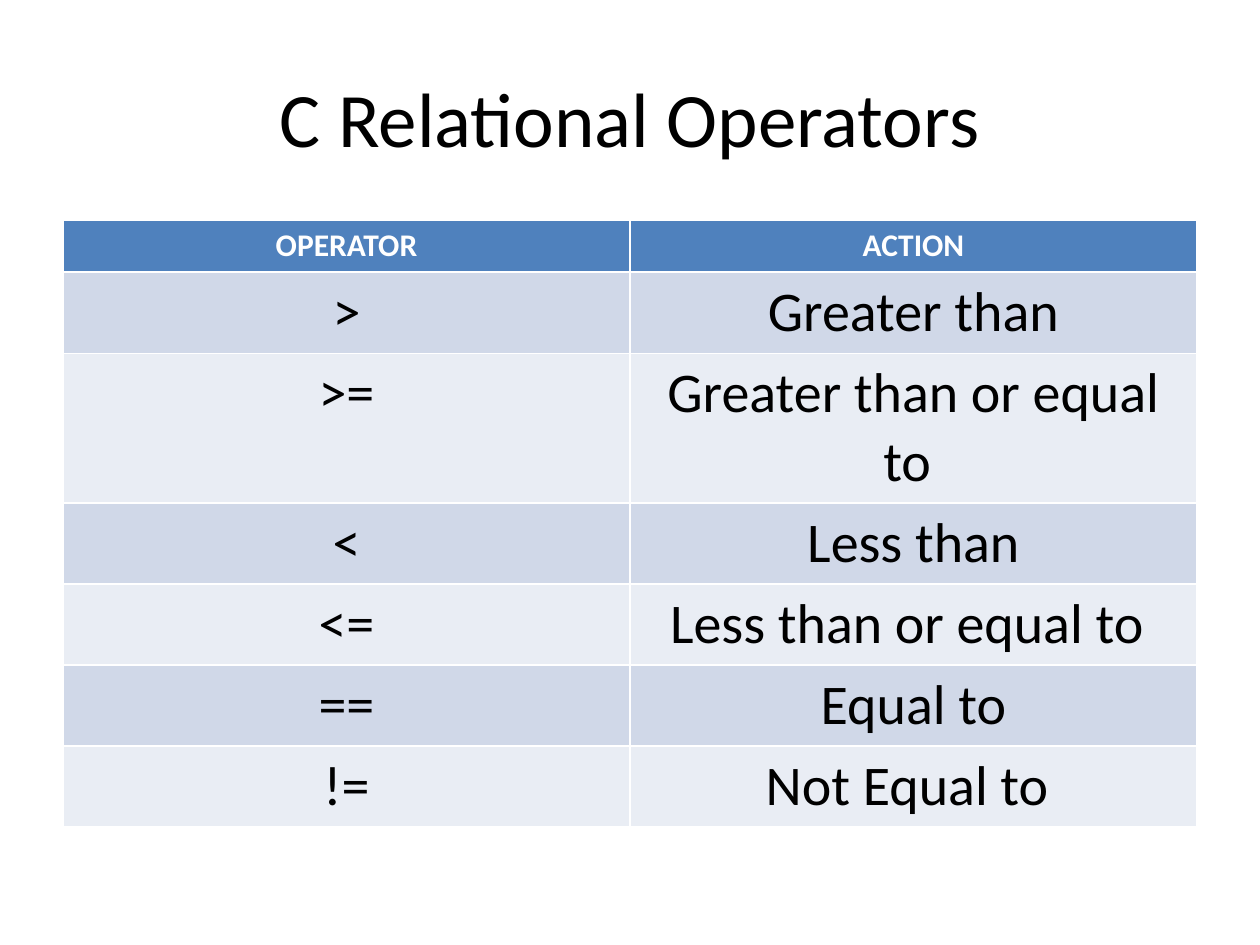
from pptx import Presentation
from pptx.dml.color import RGBColor
from pptx.enum.text import MSO_ANCHOR, PP_ALIGN
from pptx.util import Pt

SCALE = 9144
BLACK = RGBColor(0x00, 0x00, 0x00)
WHITE = RGBColor(0xFF, 0xFF, 0xFF)
BLUE = RGBColor(0x4F, 0x81, 0xBD)
BANDS = [RGBColor(0xE9, 0xED, 0xF4), RGBColor(0xD0, 0xD8, 0xE8)]


def write(frame, text, size=32, color=BLACK, bold=False):
    para = frame.paragraphs[0]
    para.alignment = PP_ALIGN.CENTER
    run = para.add_run()
    run.text = text
    run.font.name = "Calibri"
    run.font.size = Pt(size)
    run.font.bold = bold
    run.font.color.rgb = color


deck = Presentation()
deck.slide_width = 1000 * SCALE
deck.slide_height = 750 * SCALE
slide = deck.slides.add_slide(deck.slide_layouts[5])

title = slide.shapes.title
title.left, title.top = 50 * SCALE, 30 * SCALE
title.width, title.height = 900 * SCALE, 125 * SCALE
title.text_frame.vertical_anchor = MSO_ANCHOR.MIDDLE
write(title.text_frame, "C Relational Operators", size=44)

rows = [
    ("OPERATOR", "ACTION"),
    (">", "Greater than"),
    (">=", "Greater than or equal to "),
    ("<", "Less than"),
    ("<=", "Less than or equal to "),
    ("==", "Equal to"),
    ("!=", "Not Equal to "),
]
table = slide.shapes.add_table(
    len(rows), 2, 50 * SCALE, 175 * SCALE, 900 * SCALE, len(rows) * 41 * SCALE
).table

for r, row in enumerate(rows):
    for c, text in enumerate(row):
        cell = table.cell(r, c)
        cell.fill.solid()
        if r == 0:
            cell.fill.fore_color.rgb = BLUE
            write(cell.text_frame, text, size=18, color=WHITE, bold=True)
        else:
            cell.fill.fore_color.rgb = BANDS[r % 2]
            write(cell.text_frame, text)

deck.save("out.pptx")
